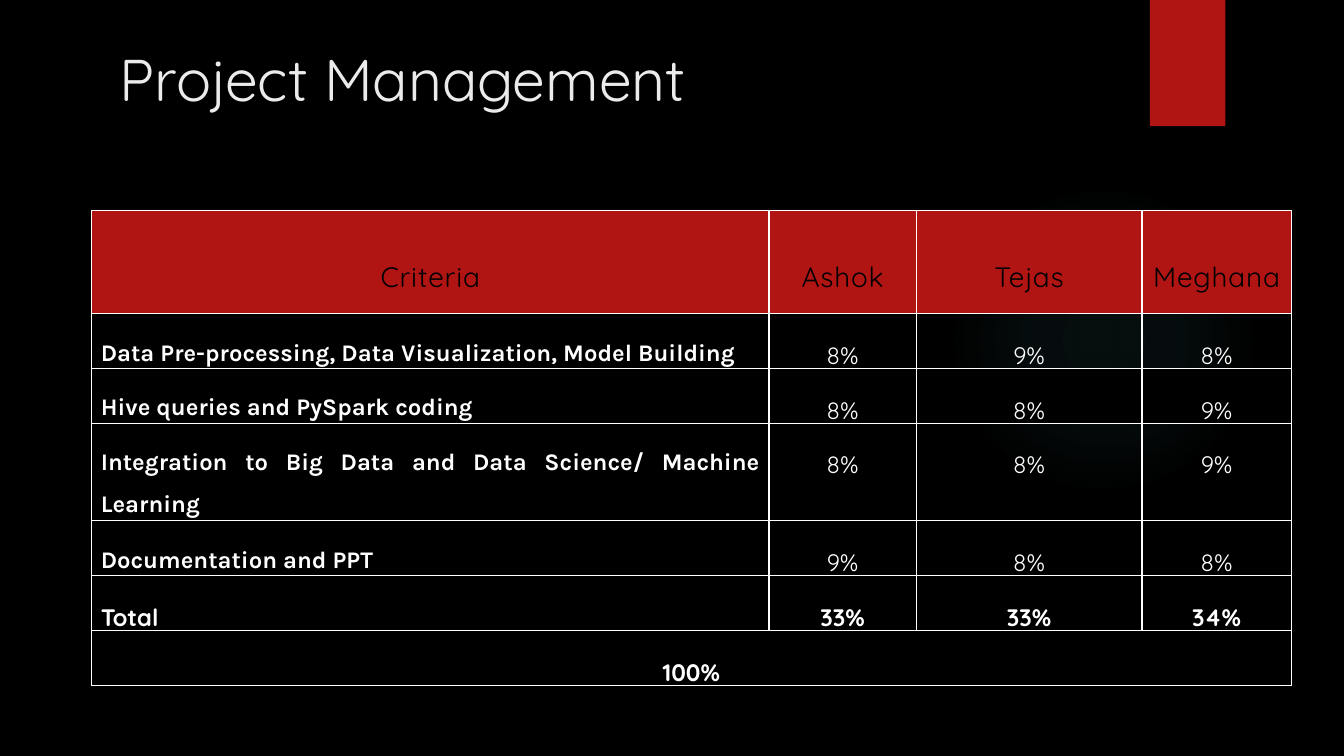
from lxml import etree
from pptx import Presentation
from pptx.dml.color import RGBColor
from pptx.enum.shapes import MSO_SHAPE
from pptx.enum.text import MSO_ANCHOR, PP_ALIGN
from pptx.oxml import parse_xml
from pptx.oxml.ns import nsdecls
from pptx.util import Cm, Pt

CENTER, JUSTIFY = PP_ALIGN.CENTER, PP_ALIGN.JUSTIFY
TOP, MIDDLE = MSO_ANCHOR.TOP, MSO_ANCHOR.MIDDLE
RECTANGLE, OVAL = MSO_SHAPE.RECTANGLE, MSO_SHAPE.OVAL

BLACK, WHITE, RED = "000000", "FFFFFF", "B01513"
PALE, TEAL = "EBEBEB", "50B9C1"
HEADING_FONT, LABEL_FONT = "Quicksand", "Karla"

COLUMN_WIDTHS = [17.07, 3.71, 5.69, 3.76]
HEADER_HEIGHT, ROW_HEIGHT = 2.59, 1.31
HEADER = ["Criteria", "Ashok", "Tejas", "Meghana"]
SHARES = [
    ["Data Pre-processing, Data Visualization, Model Building", "8%", "9%", "8%"],
    ["Hive queries and PySpark coding", "8%", "8%", "9%"],
    ["Integration to Big Data and Data Science/ Machine Learning", "8%", "8%", "9%"],
    ["Documentation and PPT", "9%", "8%", "8%"],
]
TOTALS = ["Total", "33%", "33%", "34%"]


def color(value):
    return RGBColor.from_string(value)


def write(frame, text, size=17, font=HEADING_FONT, ink=WHITE, bold=False,
          align=None, line_spacing=None, tracking=0):
    frame.word_wrap = True
    para = frame.paragraphs[0]
    para.alignment = align
    para.line_spacing = line_spacing
    span = para.add_run()
    span.text = text
    span.font.size = Pt(size)
    span.font.name = font
    span.font.bold = bold
    span.font.color.rgb = color(ink)
    if tracking:
        span.font._element.set("spc", str(round(tracking * 100)))


def add_plain_shape(page, kind, left, top, width, height, fill):
    shape = page.shapes.add_shape(kind, Cm(left), Cm(top), Cm(width), Cm(height))
    shape.shadow.inherit = False
    shape.line.fill.background()
    shape.fill.solid()
    shape.fill.fore_color.rgb = color(fill)
    return shape


def add_glow(page, left, top, size):
    glow = add_plain_shape(page, OVAL, left, top, size, size, TEAL)
    stops = "".join(
        f'<a:gs pos="{place * 1000}"><a:srgbClr val="{TEAL}">'
        f'<a:alpha val="{alpha * 1000}"/></a:srgbClr></a:gs>'
        for place, alpha in [(0, 7), (36, 6), (69, 0)])
    gradient = parse_xml(
        f'<a:gradFill {nsdecls("a")} rotWithShape="1"><a:gsLst>{stops}</a:gsLst>'
        '<a:path path="circle"><a:fillToRect l="50000" t="50000" r="50000" b="50000"/>'
        '</a:path></a:gradFill>')
    properties = glow._element.spPr
    solid = properties.find("{*}solidFill")
    properties.replace(solid, gradient)


def add_title(page, text):
    box = page.shapes.add_textbox(Cm(2.77), Cm(0.94), Cm(16.66), Cm(5.87))
    write(box.text_frame, text, size=42, ink=PALE)


def add_borders(cell):
    properties = cell._tc.get_or_add_tcPr()
    for side in ("lnL", "lnR", "lnT", "lnB"):
        line = parse_xml(
            f'<a:{side} {nsdecls("a")} w="{Pt(1)}"><a:solidFill/></a:{side}>')
        etree.SubElement(line[0], line[0].tag.replace("solidFill", "srgbClr"), val=WHITE)
        properties.append(line)


def fill_cell(cell, text, fill=None, anchor=TOP, **text_format):
    cell.margin_left = cell.margin_right = Cm(0.23)
    cell.margin_top, cell.margin_bottom = Cm(0.3), Cm(0)
    cell.vertical_anchor = anchor
    write(cell.text_frame, text, line_spacing=1.5, **text_format)
    if fill:
        cell.fill.solid()
        cell.fill.fore_color.rgb = color(fill)
    else:
        cell.fill.background()


def add_share_table(page):
    row_count = len(SHARES) + 3
    frame = page.shapes.add_table(
        row_count, len(HEADER), Cm(2.31), Cm(5.31), Cm(sum(COLUMN_WIDTHS)),
        Cm(HEADER_HEIGHT + ROW_HEIGHT * (row_count - 1)))
    table = frame.table
    table.first_row = table.horz_banding = False
    for column, width in zip(table.columns, COLUMN_WIDTHS):
        column.width = Cm(width)
    for index, row in enumerate(table.rows):
        row.height = Cm(ROW_HEIGHT if index else HEADER_HEIGHT)
    for cell in table.iter_cells():
        add_borders(cell)

    # Header
    for column, name in enumerate(HEADER):
        fill_cell(table.cell(0, column), name, fill=RED, anchor=MIDDLE,
                  size=20, ink=BLACK, align=CENTER, tracking=0.6)

    # Shares and totals: every second row is filled
    for index, values in enumerate(SHARES + [TOTALS], start=1):
        is_total = values is TOTALS
        for column, value in enumerate(values):
            is_label = column == 0
            fill_cell(table.cell(index, column), value,
                      fill=None if index % 2 else BLACK,
                      font=LABEL_FONT if is_label and not is_total else HEADING_FONT,
                      bold=is_label or is_total,
                      align=JUSTIFY if is_label else CENTER)

    # Grand total across all columns
    last = row_count - 1
    table.cell(last, 0).merge(table.cell(last, len(HEADER) - 1))
    fill_cell(table.cell(last, 0), "100%", fill=BLACK, bold=True, align=CENTER)


def main():
    deck = Presentation()
    deck.slide_width, deck.slide_height = Cm(33.87), Cm(19.05)
    page = deck.slides.add_slide(deck.slide_layouts[6])
    page.background.fill.solid()
    page.background.fill.fore_color.rgb = color(BLACK)

    # Decoration
    add_glow(page, 23.9, 4.65, 7.82)
    add_plain_shape(page, RECTANGLE, 28.98, 0, 1.9, 3.18, RED)

    # Content
    add_title(page, "Project Management")
    add_share_table(page)
    deck.save("out.pptx")


if __name__ == "__main__":
    main()
